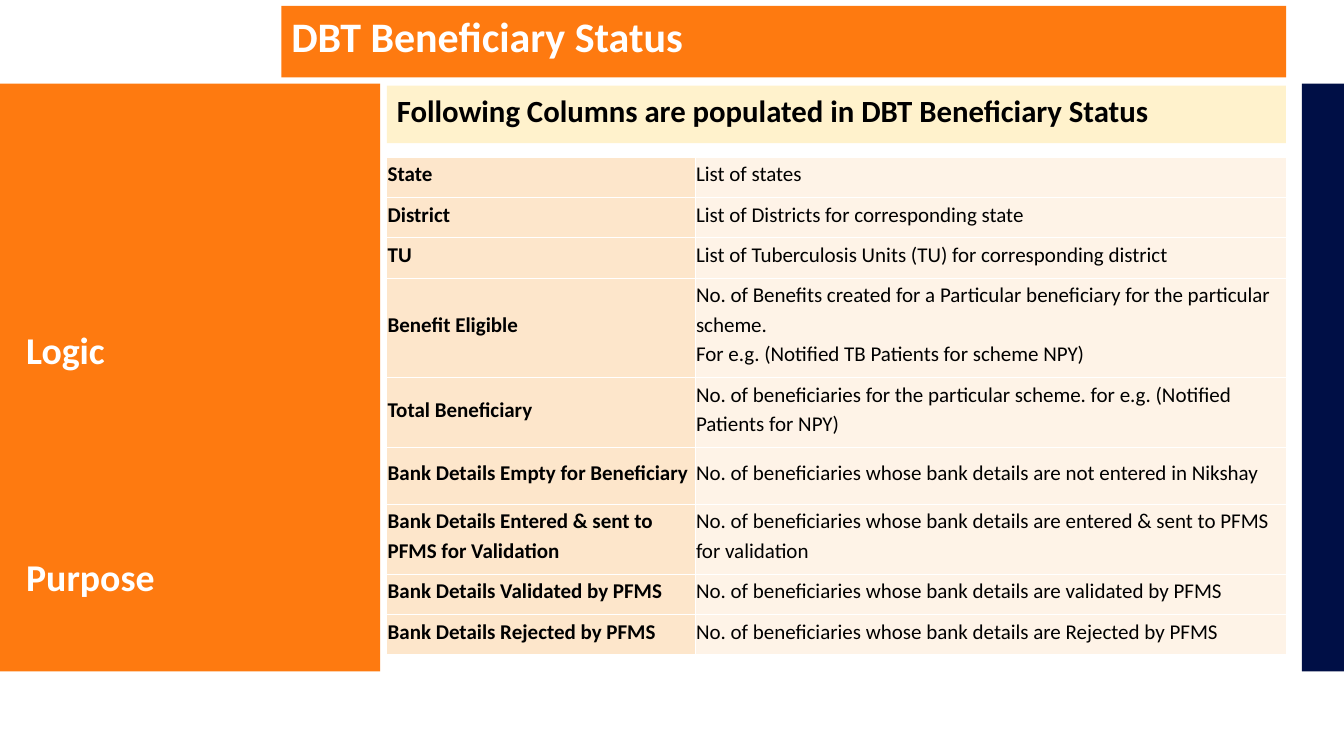
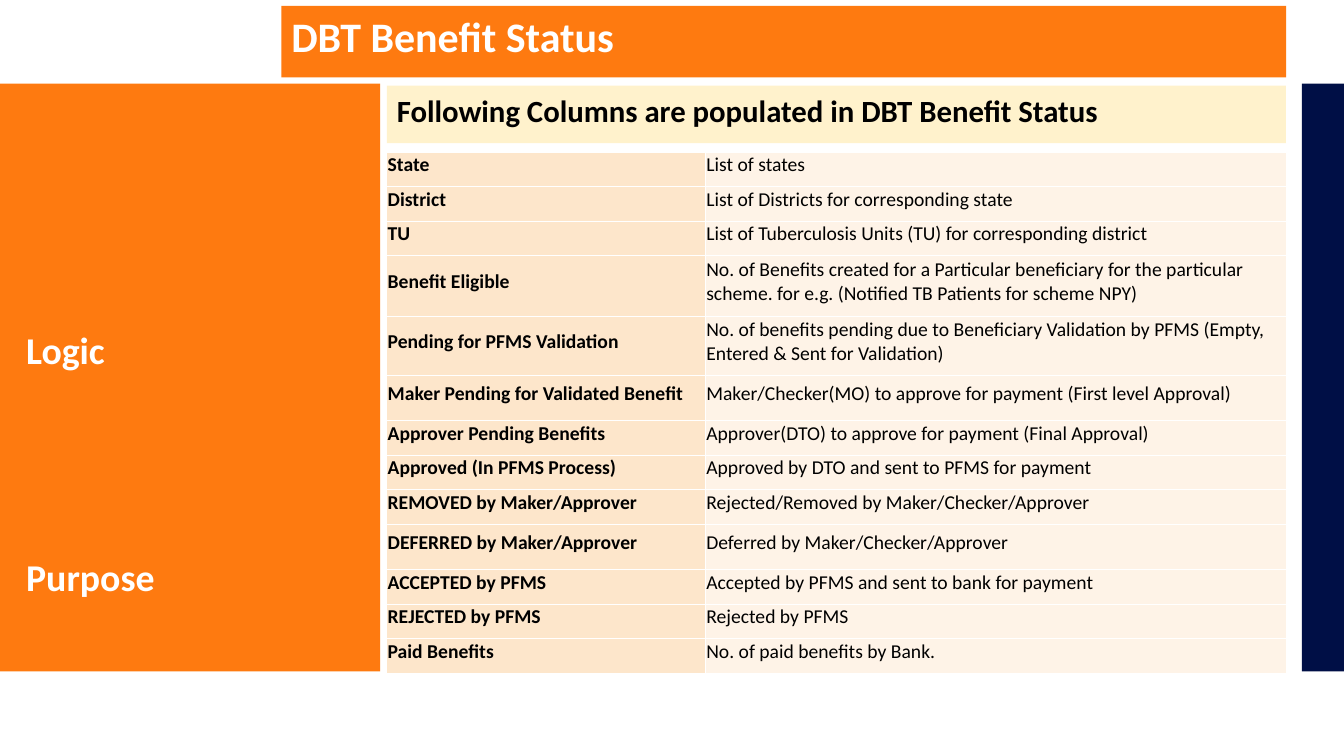
from lxml import etree
from pptx import Presentation
from pptx.dml.color import RGBColor
from pptx.enum.shapes import MSO_SHAPE
from pptx.enum.text import MSO_ANCHOR, MSO_AUTO_SIZE, PP_ALIGN
from pptx.oxml.ns import qn
from pptx.util import Cm, Pt

RECT = MSO_SHAPE.RECTANGLE
TOP, MIDDLE = MSO_ANCHOR.TOP, MSO_ANCHOR.MIDDLE
LEFT, JUSTIFY = PP_ALIGN.LEFT, PP_ALIGN.JUSTIFY

THEME = {
    "font": "Calibri",
    "orange": "FE7A10", "navy": "000F46", "cream": "FFF2CC",
    "white": "FFFFFF", "black": "000000",
    "columns": ["FDE6CB", "FEF3E7"],
    "title": 30, "label": 27, "heading": 22,
    "border": 0.94,
}
BOX_FORMAT = {
    "word_wrap": True, "auto_size": MSO_AUTO_SIZE.NONE, "vertical_anchor": TOP,
    "margin_left": Cm(0.25), "margin_right": Cm(0.25),
    "margin_top": Cm(0.25), "margin_bottom": Cm(0.25),
}
CELL_FORMAT = {
    "vertical_anchor": MIDDLE,
    "margin_left": Cm(0.02), "margin_right": Cm(0.02),
    "margin_top": Cm(0.02), "margin_bottom": Cm(0.25),
}

# Content: row height in cm, column name, meaning
TABLES = [
    {
        "title": "DBT Beneficiary Status",
        "top": 3.96, "widths": [7.77, 14.89], "size": 15, "spacing": 1.15,
        "rows": [
            (1, "State", "List of states"),
            (1, "District", "List of Districts for corresponding state"),
            (1, "TU", "List of Tuberculosis Units (TU) for corresponding district"),
            (2.45, "Benefit Eligible",
             "No. of Benefits created for a Particular beneficiary for the particular scheme.\n"
             "For e.g. (Notified TB Patients for scheme NPY)"),
            (1.74, "Total Beneficiary",
             "No. of beneficiaries for the particular scheme. for e.g. "
             "(Notified Patients for NPY)"),
            (1.43, "Bank Details Empty for Beneficiary",
             "No. of beneficiaries whose bank details are not entered in Nikshay"),
            (1.74, "Bank Details Entered & sent to PFMS for Validation",
             "No. of beneficiaries whose bank details are entered & sent to PFMS "
             "for validation"),
            (1, "Bank Details Validated by PFMS",
             "No. of beneficiaries whose bank details are validated by PFMS"),
            (1, "Bank Details Rejected by PFMS",
             "No. of beneficiaries whose bank details are Rejected by PFMS"),
        ],
    },
    {
        "title": "DBT Benefit Status",
        "top": 3.83, "widths": [8.03, 14.63], "size": 14, "spacing": 1.0,
        "rows": [
            (0.86, "State", "List of states"),
            (0.86, "District", "List of Districts for corresponding state"),
            (0.86, "TU", "List of Tuberculosis Units (TU) for corresponding district"),
            (1.54, "Benefit Eligible",
             "No. of Benefits created for a Particular beneficiary for the particular "
             "scheme. for e.g. (Notified TB Patients for scheme NPY)"),
            (1.46, "Pending for PFMS Validation",
             "No. of benefits pending due to Beneficiary Validation by PFMS "
             "(Empty, Entered & Sent for Validation)"),
            (1.14, "Maker Pending for Validated Benefit",
             "Maker/Checker(MO) to approve for payment (First level Approval)"),
            (0.86, "Approver Pending Benefits",
             "Approver(DTO) to approve for payment (Final Approval)"),
            (0.86, "Approved (In PFMS Process)",
             "Approved by DTO and sent to PFMS for payment"),
            (0.86, "REMOVED by Maker/Approver",
             "Rejected/Removed by Maker/Checker/Approver"),
            (1.14, "DEFERRED by Maker/Approver", "Deferred by Maker/Checker/Approver"),
            (0.86, "ACCEPTED by PFMS", "Accepted by PFMS and sent to bank for payment"),
            (0.86, "REJECTED by PFMS", "Rejected by PFMS"),
            (0.86, "Paid Benefits", "No. of paid benefits by Bank."),
        ],
    },
]


def paint(target, color):
    target.fill.solid()
    target.fill.fore_color.rgb = RGBColor.from_string(color)


def write(frame, text, size, color, bold=True, spacing=1.0, align=LEFT):
    frame.text = text
    for paragraph in frame.paragraphs:
        paragraph.alignment = align
        paragraph.line_spacing = spacing
        for run in paragraph.runs:
            for key, value in {"name": THEME["font"], "size": Pt(size), "bold": bold}.items():
                setattr(run.font, key, value)
            run.font.color.rgb = RGBColor.from_string(color)


prs = Presentation()
prs.slide_width, prs.slide_height = Cm(33.87), Cm(19.05)
layout = prs.slide_layouts[5]

# Shared layout: keep only the title placeholder
for placeholder in list(layout.placeholders):
    if placeholder.placeholder_format.idx != 0:
        placeholder.element.getparent().remove(placeholder.element)

slides = [prs.slides.add_slide(layout) for _ in TABLES]

# Shared layout: side bands, drawn once and moved behind the title
bands = []
for left, width, color in [(0, 9.58, "orange"), (32.81, 1.06, "navy")]:
    band = slides[0].shapes.add_shape(RECT, Cm(left), Cm(2.11), Cm(width), Cm(14.81))
    band.shadow.inherit = False
    band.line.fill.background()
    paint(band, THEME[color])
    bands.append(band)
for band in bands:
    layout.shapes.element.insert(2, band.element)

for slide, content in zip(slides, TABLES):
    # Title bar
    title = slide.shapes.title
    title.left, title.top, title.width, title.height = Cm(7.09), Cm(0.15), Cm(25.32), Cm(1.8)
    paint(title, THEME["orange"])
    write(title.text_frame, content["title"], THEME["title"], THEME["white"], spacing=0.9)

    # Side labels
    labels = slide.shapes.add_textbox(Cm(0.41), Cm(7.98), Cm(8.66), Cm(7.44))
    write(labels.text_frame, "Logic\nPurpose", THEME["label"], THEME["white"])
    labels.text_frame.paragraphs[1].space_before = Pt(130)

    # Heading above the table
    heading = slide.shapes.add_shape(RECT, Cm(9.75), Cm(2.16), Cm(22.66), Cm(1.45))
    heading.shadow.inherit = False
    heading.line.fill.background()
    paint(heading, THEME["cream"])
    write(heading.text_frame, f"Following Columns are populated in {content['title']}",
          THEME["heading"], THEME["black"], spacing=0.9, align=JUSTIFY)

    for box in (title, labels, heading):
        for key, value in BOX_FORMAT.items():
            setattr(box.text_frame, key, value)

    # Table of column names and meanings
    rows, widths = content["rows"], content["widths"]
    table = slide.shapes.add_table(
        len(rows), len(widths), Cm(9.75), Cm(content["top"]),
        Cm(sum(widths)), Cm(sum(row[0] for row in rows))).table
    table.first_row = table.horz_banding = False
    for column, width in zip(table.columns, widths):
        column.width = Cm(width)
    for r, (height, *texts) in enumerate(rows):
        table.rows[r].height = Cm(height)
        for c, text in enumerate(texts):
            cell = table.cell(r, c)
            write(cell.text_frame, text, content["size"], THEME["black"],
                  bold=c == 0, spacing=content["spacing"])
            for key, value in CELL_FORMAT.items():
                setattr(cell, key, value)
            properties = cell._tc.get_or_add_tcPr()
            for side in ("a:lnL", "a:lnR", "a:lnT", "a:lnB"):
                border = etree.SubElement(properties, qn(side), w=str(Pt(THEME["border"])))
                fill = etree.SubElement(border, qn("a:solidFill"))
                etree.SubElement(fill, qn("a:srgbClr"), val=THEME["white"])
            paint(cell, THEME["columns"][c])

prs.save("out.pptx")
